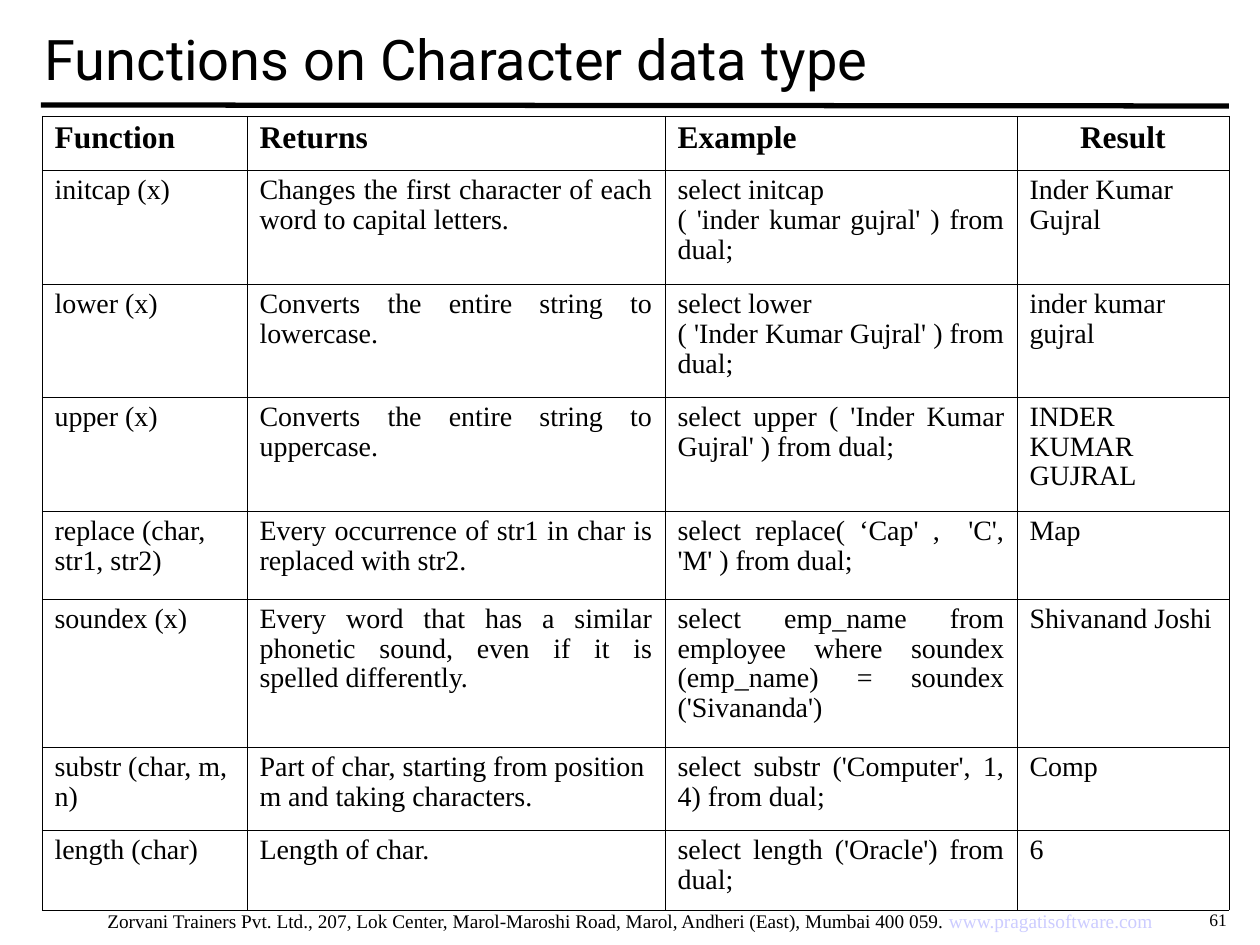
"""Build the slide on SQL character functions."""
from lxml.etree import SubElement
from pptx import Presentation
from pptx.dml.color import RGBColor
from pptx.enum.shapes import MSO_CONNECTOR
from pptx.enum.text import MSO_ANCHOR, MSO_AUTO_SIZE, PP_ALIGN as AL
from pptx.oxml import parse_xml
from pptx.oxml.ns import nsdecls, qn
from pptx.util import Pt

SCALE = 914400 / 126
SERIF = "Times New Roman"
BLACK = "000000"


def px(*values):
    return [round(v * SCALE) for v in values]


def add_run(p, text, size, color=BLACK, font=SERIF, bold=False):
    r = p.add_run()
    r.text = text
    r.font.name, r.font.size, r.font.bold = font, Pt(size), bold
    r.font.color.rgb = RGBColor.from_string(color)


prs = Presentation()
prs.slide_width, prs.slide_height = px(1260, 945)
s = prs.slides.add_slide(prs.slide_layouts[5])

rule = s.shapes.add_connector(MSO_CONNECTOR.STRAIGHT, *px(41, 105, 1229, 106))
rule.line.color.rgb = RGBColor.from_string(BLACK)
rule.line.width = Pt(3)
SubElement(rule._element.spPr, qn("a:effectLst"))

title = s.shapes.title
title.left, title.top, title.width, title.height = px(32, 0, 1197, 116)
tf = title.text_frame
tf.vertical_anchor = MSO_ANCHOR.MIDDLE
tf.auto_size = MSO_AUTO_SIZE.NONE
p = tf.paragraphs[0]
p.alignment = AL.LEFT
add_run(p, "Functions on Character data type", 32, font="Roboto")

footers = [
    ((0, 903, 1260, 37), AL.CENTER, 11, [
        ("Zorvani Trainers Pvt. Ltd., 207, Lok Center, Marol-Maroshi Road, "
         "Marol, Andheri (East), Mumbai 400 059. ", BLACK),
        ("www.pragatisoftware.com", "CCCCFF")]),
    ((1197, 903, 63, 34), AL.LEFT, 10, [("61", BLACK)]),
]
for box, align, size, runs in footers:
    tf = s.shapes.add_textbox(*px(*box)).text_frame
    tf.word_wrap = True
    tf.auto_size = MSO_AUTO_SIZE.SHAPE_TO_FIT_TEXT
    p = tf.paragraphs[0]
    p.alignment = align
    for text, color in runs:
        add_run(p, text, size, color)

rows = [
    ("Function", "Returns", "Example", "Result"),
    ("initcap (x)", "Changes the first character of each word to capital letters.",
     "select initcap \n( 'inder kumar gujral' ) from dual;", "Inder Kumar Gujral"),
    ("lower (x)", "Converts the entire string to lowercase.",
     "select lower \n( 'Inder Kumar Gujral' ) from dual;", "inder kumar gujral"),
    ("upper (x)", "Converts the entire string to uppercase.",
     "select upper ( 'Inder Kumar Gujral' ) from dual;", "INDER KUMAR GUJRAL"),
    ("replace (char, str1, str2)", "Every occurrence of str1 in char is replaced with str2.",
     "select replace( ‘Cap' ,  'C', 'M' ) from dual;", "Map"),
    ("soundex (x)",
     "Every word that has a similar phonetic sound, even if it is spelled differently.",
     "select emp_name from employee where soundex (emp_name) = soundex ('Sivananda')",
     "Shivanand Joshi"),
    ("substr (char, m, n)", "Part of char, starting from position m and taking characters.",
     "select substr ('Computer', 1, 4) from dual;", "Comp"),
    ("length (char)", "Length of char.", "select length ('Oracle') from dual;", "6"),
]
widths = [205, 418, 352, 212]
heights = [54, 114, 113, 114, 88, 148, 83, 80]
head_aligns = [AL.JUSTIFY, AL.JUSTIFY, AL.JUSTIFY, AL.CENTER]
body_aligns = [AL.LEFT, AL.JUSTIFY, AL.JUSTIFY, AL.LEFT]

frame = s.shapes.add_table(len(rows), len(widths),
                           *px(42, 116, sum(widths), sum(heights)))
table = frame.table
table.first_row = table.horz_banding = False
for col, width in zip(table.columns, px(*widths)):
    col.width = width
for row, height in zip(table.rows, px(*heights)):
    row.height = height

for i, row in enumerate(rows):
    for j, text in enumerate(row):
        cell = table.cell(i, j)
        tcPr = cell._tc.get_or_add_tcPr()
        for side in ("lnL", "lnR", "lnT", "lnB"):
            tcPr.append(parse_xml(
                f'<a:{side} {nsdecls("a")} w="2921"><a:solidFill>'
                f'<a:srgbClr val="{BLACK}"/></a:solidFill></a:{side}>'))
        cell.fill.background()
        align = body_aligns[j] if i else head_aligns[j]
        if text.startswith("Part of"):
            align = AL.LEFT
        tf = cell.text_frame
        for k, line in enumerate(text.split("\n")):
            p = tf.add_paragraph() if k else tf.paragraphs[0]
            p.alignment = align
            p.line_spacing = 0.95
            add_run(p, line, 16 if i else 18, bold=i == 0)

prs.save("out.pptx")
